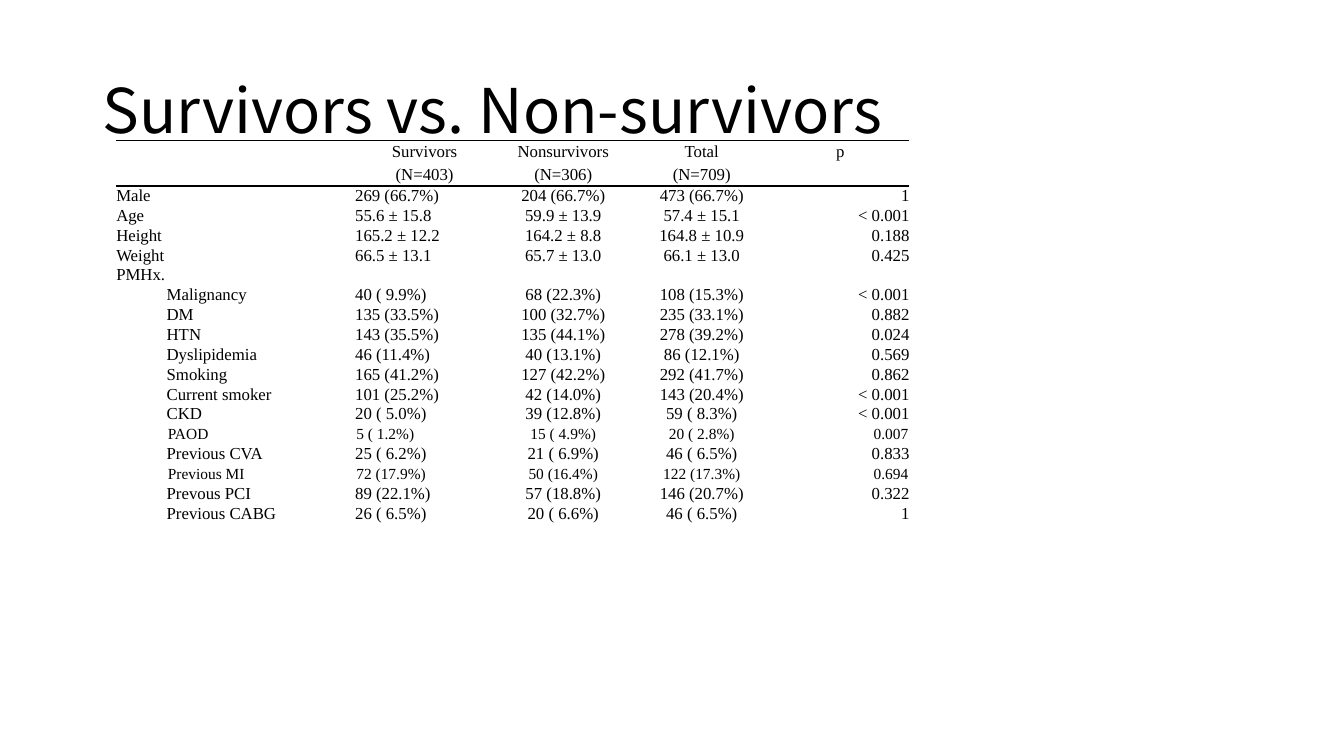
"""Build a slide with a table comparing survivors and non-survivors."""
from dataclasses import dataclass
from typing import NamedTuple

from lxml import etree
from pptx import Presentation
from pptx.dml.color import RGBColor
from pptx.enum.text import MSO_ANCHOR, MSO_AUTO_SIZE, PP_ALIGN
from pptx.oxml.ns import qn
from pptx.slide import Slide
from pptx.table import _Cell
from pptx.text.text import _Paragraph
from pptx.util import Cm, Pt

LEFT, MID, RIGHT = PP_ALIGN.LEFT, PP_ALIGN.CENTER, PP_ALIGN.RIGHT
CENTRE = MSO_ANCHOR.MIDDLE
FIXED = MSO_AUTO_SIZE.NONE


@dataclass(frozen=True)
class Theme:
    ink: str = "000000"
    head: str = "Noto Sans CJK KR"
    body: str = "Times New Roman"
    title: float = 44
    text: float = 12
    small: float = 11
    rule: float = 1


class Row(NamedTuple):
    cells: tuple[str, ...]
    sub: bool = False
    small: bool = False


THEME = Theme()
WIDTHS = (6.02, 3.5, 3.49, 3.49, 3.49)
ALIGNS = (LEFT, LEFT, MID, MID, RIGHT)
HEADS = (
    Row(("", "Survivors", "Nonsurvivors", "Total", "p")),
    Row(("", "(N=403)", "(N=306)", "(N=709)", "")),
)
DATA = (
    Row(("Male", "269 (66.7%)", "204 (66.7%)", "473 (66.7%)", "1")),
    Row(("Age", "55.6 ± 15.8", "59.9 ± 13.9", "57.4 ± 15.1", "< 0.001")),
    Row(("Height", "165.2 ± 12.2", "164.2 ± 8.8", "164.8 ± 10.9", "0.188")),
    Row(("Weight", "66.5 ± 13.1", "65.7 ± 13.0", "66.1 ± 13.0", "0.425")),
    Row(("PMHx.", "", "", "", "")),
    Row(("Malignancy", "40 ( 9.9%)", "68 (22.3%)", "108 (15.3%)", "< 0.001"), True),
    Row(("DM", "135 (33.5%)", "100 (32.7%)", "235 (33.1%)", "0.882"), True),
    Row(("HTN", "143 (35.5%)", "135 (44.1%)", "278 (39.2%)", "0.024"), True),
    Row(("Dyslipidemia", "46 (11.4%)", "40 (13.1%)", "86 (12.1%)", "0.569"), True),
    Row(("Smoking", "165 (41.2%)", "127 (42.2%)", "292 (41.7%)", "0.862"), True),
    Row(("Current smoker", "101 (25.2%)", "42 (14.0%)", "143 (20.4%)", "< 0.001"), True),
    Row(("CKD", "20 ( 5.0%)", "39 (12.8%)", "59 ( 8.3%)", "< 0.001"), True),
    Row(("PAOD", "5 ( 1.2%)", "15 ( 4.9%)", "20 ( 2.8%)", "0.007"), True, True),
    Row(("Previous CVA", "25 ( 6.2%)", "21 ( 6.9%)", "46 ( 6.5%)", "0.833"), True),
    Row(("Previous MI", "72 (17.9%)", "50 (16.4%)", "122 (17.3%)", "0.694"), True, True),
    Row(("Prevous PCI", "89 (22.1%)", "57 (18.8%)", "146 (20.7%)", "0.322"), True),
    Row(("Previous CABG", "26 ( 6.5%)", "20 ( 6.6%)", "46 ( 6.5%)", "1"), True),
)


def style(para: _Paragraph, face: str, size: float, align: PP_ALIGN) -> None:
    """Set the font and alignment of a paragraph."""
    para.alignment = align
    para.font.name = face
    para.font.size = Pt(size)
    para.font.color.rgb = RGBColor.from_string(THEME.ink)


def border(cell: _Cell, ruled: str) -> None:
    """Rule the named edges of a cell and clear the others."""
    props = cell._tc.get_or_add_tcPr()
    for edge in "LRTB":
        line = etree.SubElement(props, qn(f"a:ln{edge}"), w=str(Pt(THEME.rule)))
        if edge in ruled:
            fill = etree.SubElement(line, qn("a:solidFill"))
            etree.SubElement(fill, qn("a:srgbClr"), val=THEME.ink)
        else:
            etree.SubElement(line, qn("a:noFill"))


def write(cell: _Cell, text: str, size: float, align: PP_ALIGN, pad: float) -> None:
    """Fill one table cell with text."""
    cell.text = text
    cell.vertical_anchor = CENTRE
    cell.margin_left = cell.margin_right = cell.margin_top = Cm(pad)
    cell.margin_bottom = 0
    para = cell.text_frame.paragraphs[0]
    style(para, THEME.body, size, align)
    if not text:
        etree.SubElement(para._p, qn("a:endParaRPr"), sz=str(int(size * 100)))


def add_title(slide: Slide) -> None:
    """Place and format the title."""
    title = slide.shapes.title
    title.left, title.top, title.width, title.height = Cm(2.33), Cm(1.01), Cm(29.21), Cm(3.68)
    frame = title.text_frame
    frame.text = "Survivors vs. Non-survivors"
    frame.auto_size = FIXED
    frame.vertical_anchor = CENTRE
    para = frame.paragraphs[0]
    para.line_spacing = 0.9
    style(para, THEME.head, THEME.title, LEFT)


def add_grid(slide: Slide) -> None:
    """Draw the table of patient traits."""
    rows = HEADS + DATA
    top = len(HEADS)
    high = [0.57] * top + [0.5] * len(DATA)
    grid = slide.shapes.add_table(
        len(rows), len(WIDTHS), Cm(2.93), Cm(3.55), Cm(sum(WIDTHS)), Cm(sum(high))
    ).table
    grid.first_row = grid.horz_banding = False
    for col, width in zip(grid.columns, WIDTHS):
        col.width = Cm(width)
    edges = {0: "T", top - 1: "B", top: "T"}
    for i, row in enumerate(rows):
        grid.rows[i].height = Cm(high[i])
        size, pad = (THEME.small, 0.03) if row.small else (THEME.text, 0)
        for j, text in enumerate(row.cells):
            cell = grid.cell(i, j)
            write(cell, text, size, MID if i < top else ALIGNS[j], pad)
            border(cell, edges.get(i, ""))
            cell.fill.background()
        if row.sub:
            para = grid.cell(i, 0).text_frame.paragraphs[0]
            para.level = 1
            para._p.get_or_add_pPr().set("marL", str(Cm(1.27)))


def main() -> None:
    """Build and save the slide."""
    deck = Presentation()
    deck.slide_width, deck.slide_height = Cm(33.87), Cm(19.05)
    slide = deck.slides.add_slide(deck.slide_layouts[5])
    add_title(slide)
    add_grid(slide)
    deck.save("out.pptx")


if __name__ == "__main__":
    main()
